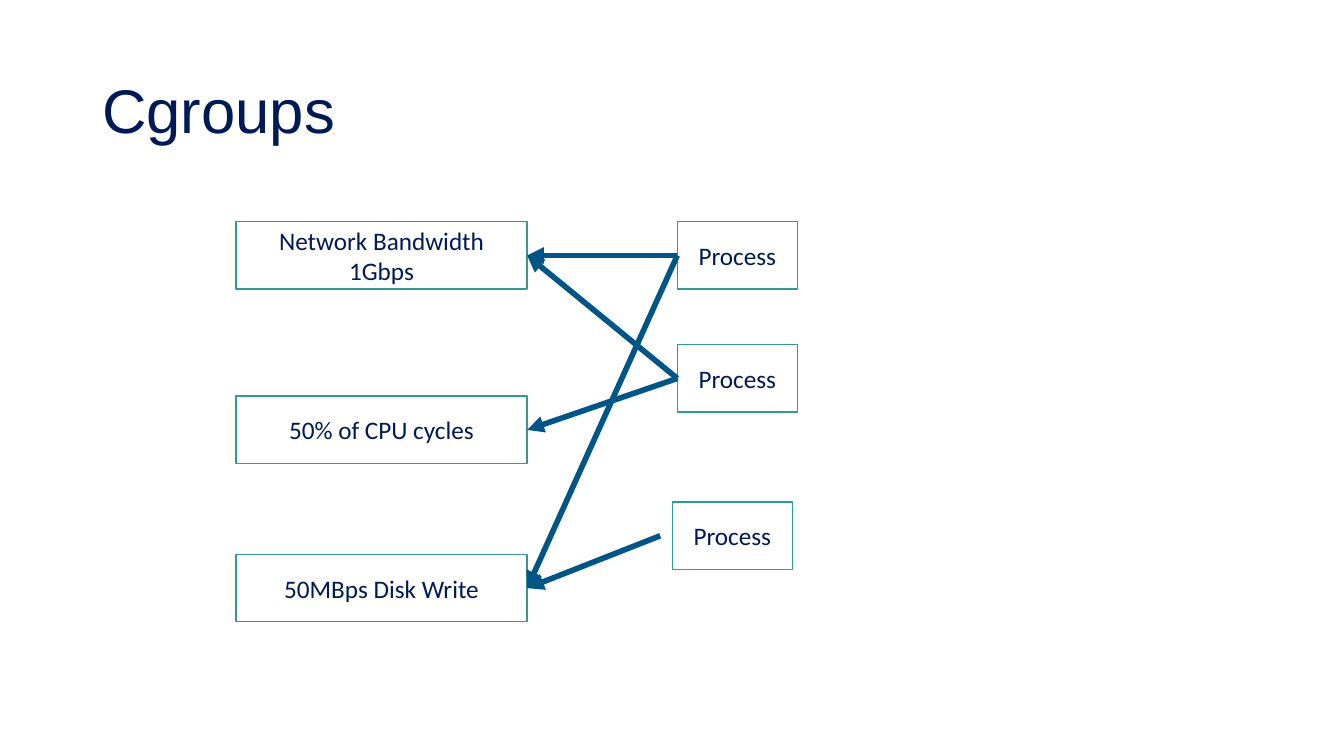
"""Build the Cgroups slide: resource limits and the processes bound to them."""
from lxml import etree
from pptx import Presentation
from pptx.dml.color import RGBColor
from pptx.enum.shapes import MSO_CONNECTOR, MSO_SHAPE
from pptx.enum.text import MSO_ANCHOR, PP_ALIGN
from pptx.oxml.ns import qn
from pptx.util import Pt

TITLE = "Cgroups"
LIMITS = [
    ("Network Bandwidth\n1Gbps", 158.4),
    ("50% of CPU cycles", 283),
    ("50MBps Disk Write", 396),
]
TASKS = [
    ("Process", 483.8, 158.4),
    ("Process", 483.8, 246.2),
    ("Process", 480.2, 358.6),
]
LINKS = [(0, 0, 0), (1, 0, 0), (1, 1, 0), (0, 2, 0), (2, 2, 8.6)]

LIMIT_X, LIMIT_W, TASK_W, BOX_H = 168.5, 208.1, 85.8, 48.2
NAVY = RGBColor(0x00, 0x1A, 0x57)
BLUE = RGBColor(0x00, 0x55, 0x87)
TEAL = RGBColor(0x33, 0x98, 0x98)
WHITE = RGBColor(0xFF, 0xFF, 0xFF)
RECT = MSO_SHAPE.RECTANGLE
STRAIGHT = MSO_CONNECTOR.STRAIGHT
MIDDLE = MSO_ANCHOR.MIDDLE
LEFT, CENTER = PP_ALIGN.LEFT, PP_ALIGN.CENTER
LEFT_SITE, RIGHT_SITE = 1, 3


def write(shape, text, size, face, align):
    frame = shape.text_frame
    frame.word_wrap = True
    frame.vertical_anchor = MIDDLE
    frame.text = text
    for para in frame.paragraphs:
        para.alignment = align
        para.font.size = Pt(size)
        para.font.name = face
        para.font.color.rgb = NAVY


def add_box(slide, text, left, top, width):
    box = slide.shapes.add_shape(RECT, Pt(left), Pt(top), Pt(width), Pt(BOX_H))
    box.shadow.inherit = False
    box.fill.solid()
    box.fill.fore_color.rgb = WHITE
    box.line.color.rgb = TEAL
    box.line.width = Pt(1)
    write(box, text, 18, "Calibri", CENTER)
    return box


def add_link(slide, task, limit, gap):
    start = task.left - Pt(gap), task.top + task.height // 2
    end = limit.left + limit.width, limit.top + limit.height // 2
    link = slide.shapes.add_connector(STRAIGHT, *start, *end)
    if not gap:
        link.begin_connect(task, LEFT_SITE)
    link.end_connect(limit, RIGHT_SITE)
    link.line.color.rgb = BLUE
    link.line.width = Pt(4)
    props = link.element.spPr
    etree.SubElement(props.find(qn("a:ln")), qn("a:tailEnd"), type="triangle")
    etree.SubElement(props, qn("a:effectLst"))


def main():
    deck = Presentation()
    deck.slide_width, deck.slide_height = Pt(960), Pt(540)
    slide = deck.slides.add_slide(deck.slide_layouts[6])
    title = slide.shapes.add_textbox(Pt(66), Pt(28.8), Pt(828), Pt(104.4))
    write(title, TITLE, 44, "Arial", LEFT)
    title.text_frame.paragraphs[0].line_spacing = 0.9
    limits = [add_box(slide, text, LIMIT_X, top, LIMIT_W) for text, top in LIMITS]
    tasks = [add_box(slide, text, left, top, TASK_W) for text, left, top in TASKS]
    for task, limit, gap in LINKS:
        add_link(slide, tasks[task], limits[limit], gap)
    deck.save("out.pptx")


if __name__ == "__main__":
    main()
